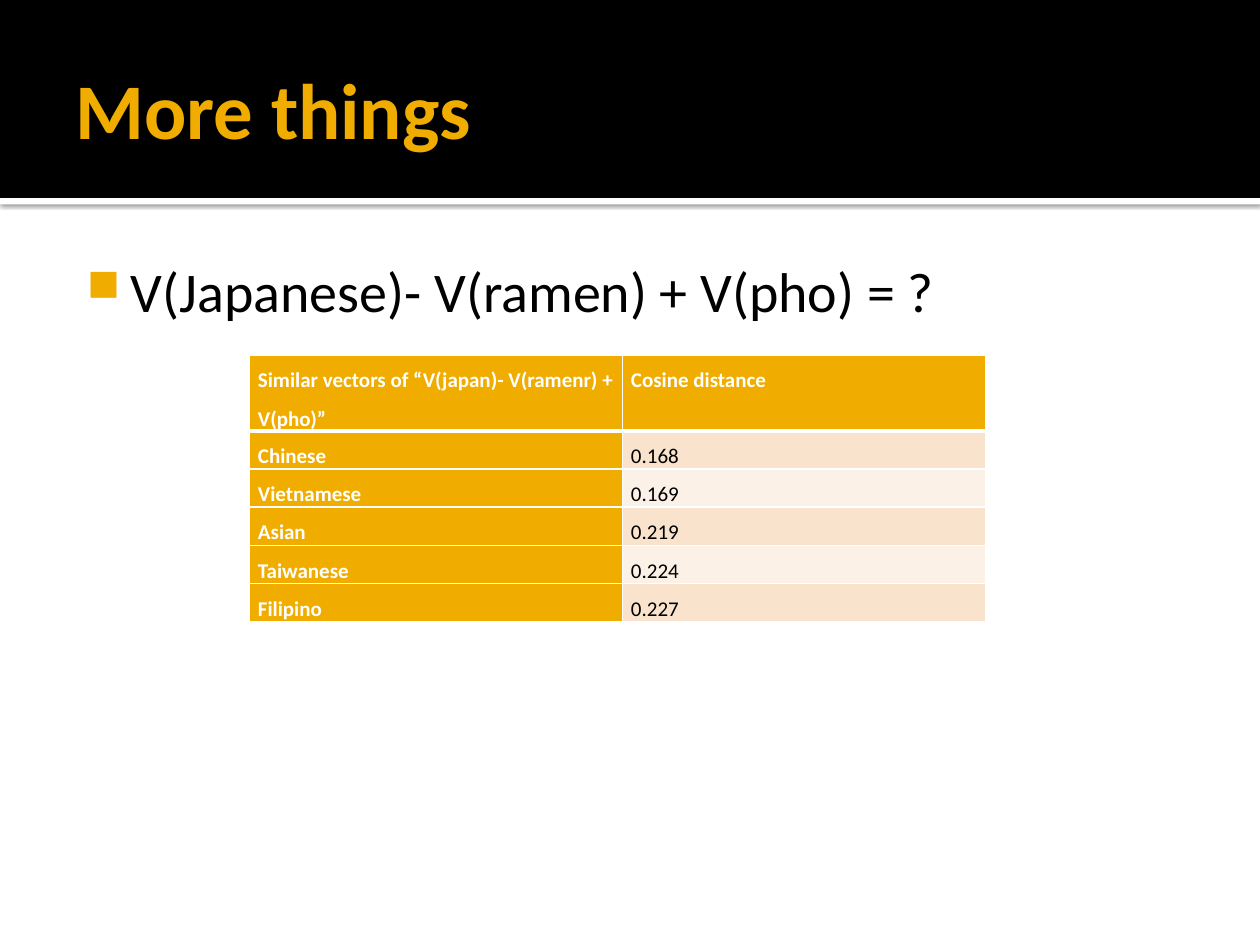
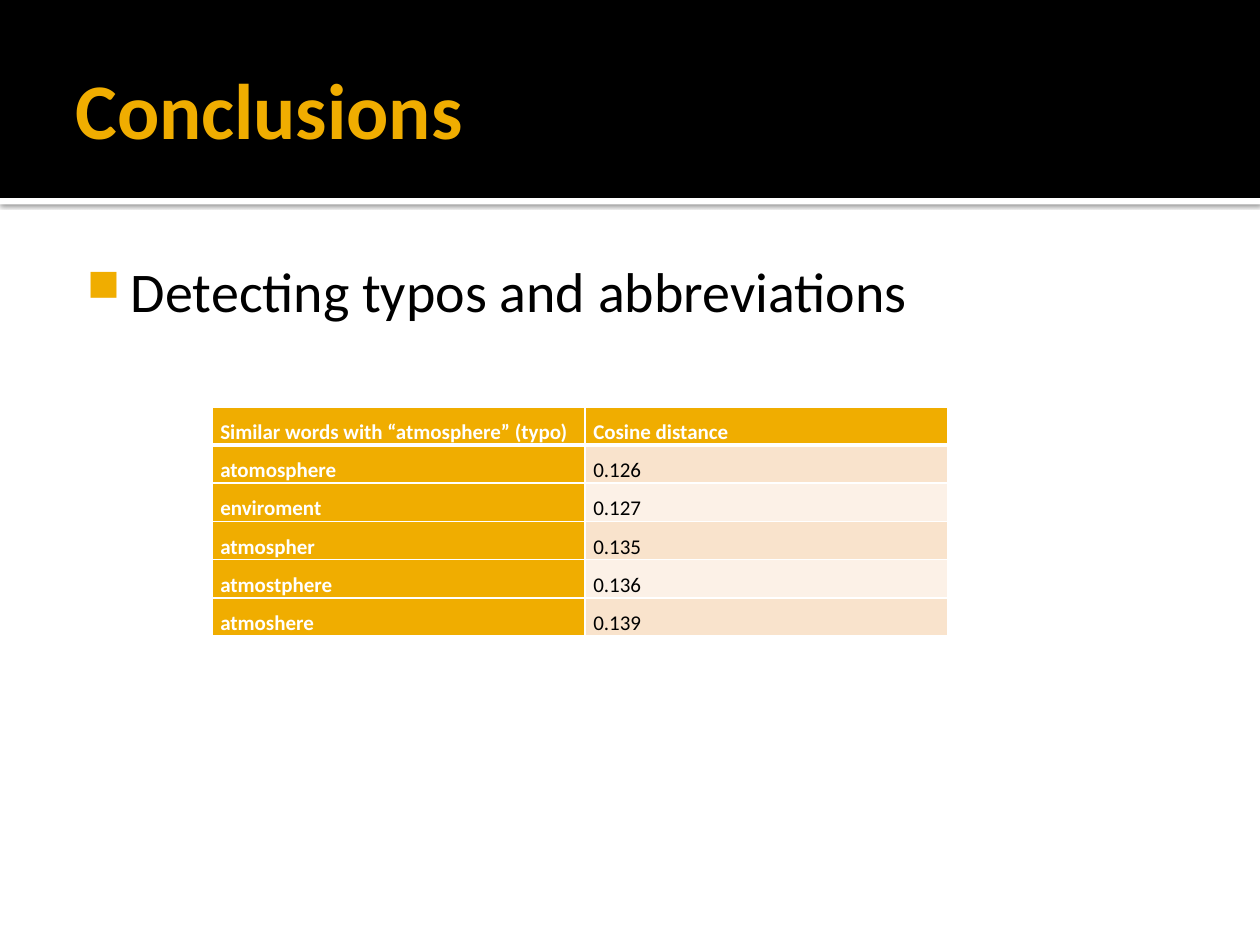
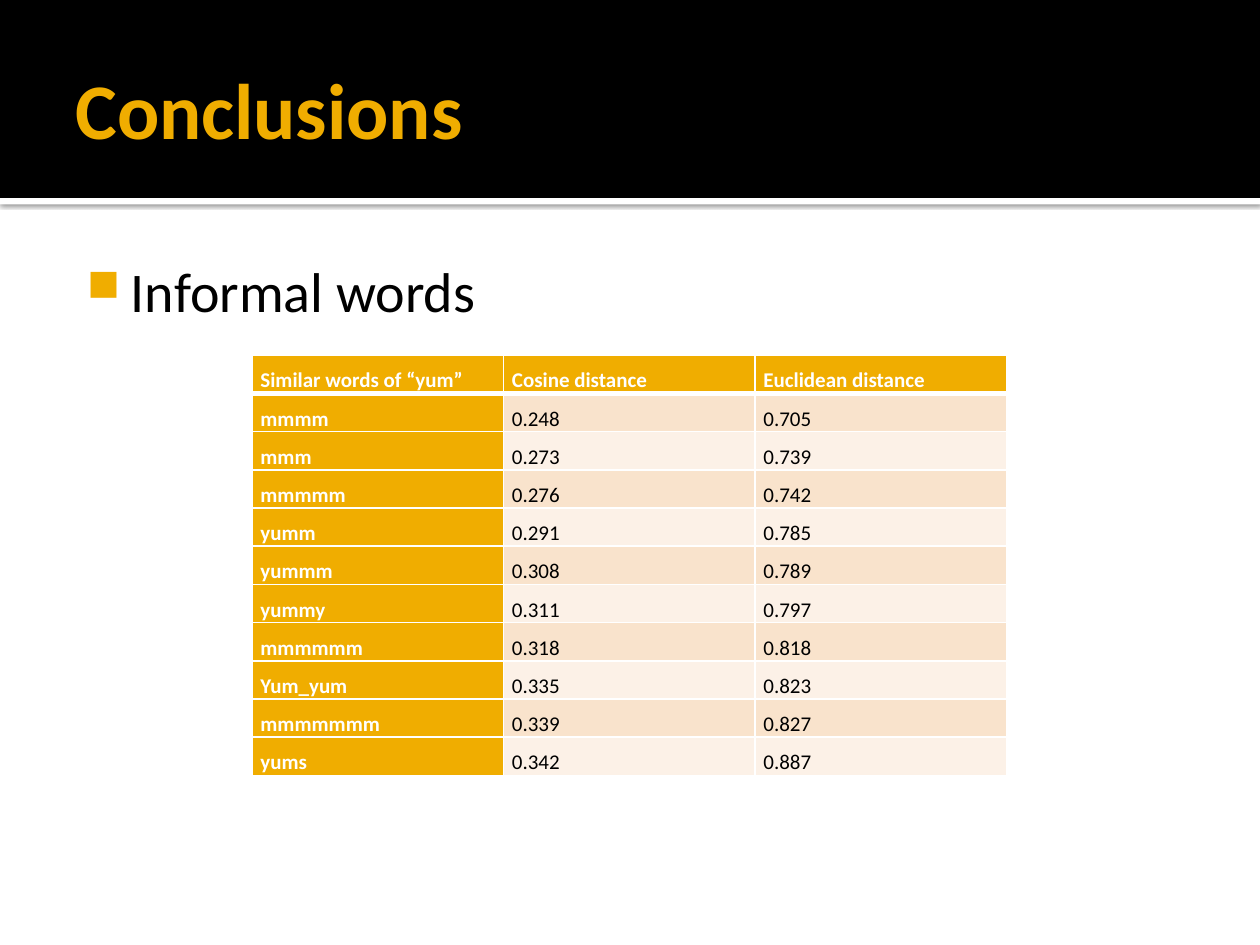
from lxml import etree
from pptx import Presentation
from pptx import util as u
from pptx.dml.color import RGBColor
from pptx.enum import shapes, text
from pptx.oxml.ns import qn

AMBER = RGBColor(0xF0, 0xAD, 0x00)
BLACK = RGBColor(0x00, 0x00, 0x00)
WHITE = RGBColor(0xFF, 0xFF, 0xFF)
PEACH = RGBColor(0xF9, 0xE3, 0xCC)
CREAM = RGBColor(0xFC, 0xF1, 0xE7)

FONT = "Calibri"
SLIDE_W, SLIDE_H = 25.4, 19.05
BAND_H, STRIP_H = 3.99, 0.13
TITLE_BOX = (1.27, 0.43, 22.86, 3.48)
BODY_BOX = (1.27, 4.93, 22.86, 12.85)
ROW_H = 0.77


def cm(*lengths):
    return [u.Cm(length) for length in lengths]


def sub(parent, tag, **attributes):
    return etree.SubElement(parent, qn(tag), attributes)


def style(paragraph, size, color, bold=False):
    font = paragraph.font
    font.name, font.size, font.bold = FONT, u.Pt(size), bold
    font.color.rgb = color


def add_bar(slide, box, color):
    bar = slide.shapes.add_shape(shapes.MSO_SHAPE.RECTANGLE, *cm(*box))
    bar.shadow.inherit = False
    bar.fill.solid()
    bar.fill.fore_color.rgb = color
    bar.line.fill.background()
    return bar


def add_header_band(slide):
    # White strip with a soft shadow, below the black band
    strip = add_bar(slide, (0, BAND_H, SLIDE_W, STRIP_H), WHITE)
    effects = strip._element.spPr.find(qn("a:effectLst"))
    shadow = sub(effects, "a:outerShdw", blurRad=str(u.Pt(2.5)), dist=str(u.Pt(0.8)),
                 dir="5400000", algn="tl", rotWithShape="0")
    sub(sub(shadow, "a:srgbClr", val=str(BLACK)), "a:alpha", val="60000")
    add_bar(slide, (0, 0, SLIDE_W, BAND_H), BLACK)


def add_text(slide, box, insets, words, anchor):
    frame = slide.shapes.add_textbox(*cm(*box)).text_frame
    frame.word_wrap = True
    frame.vertical_anchor = anchor
    (frame.margin_left, frame.margin_top,
     frame.margin_right, frame.margin_bottom) = cm(*insets)
    paragraph = frame.paragraphs[0]
    paragraph.text = words
    return paragraph


def add_title(slide, box, words):
    title = add_text(slide, box, (0.25, 0.13, 0.13, 0.13), words, text.MSO_ANCHOR.MIDDLE)
    style(title, 45, AMBER, bold=True)


def add_bullet(slide, box, words):
    point = add_text(slide, box, (0.15, 0.25, 0.25, 0.13), words, text.MSO_ANCHOR.TOP)
    props = point._p.get_or_add_pPr()
    props.set("marL", str(u.Cm(1.22)))
    props.set("indent", str(u.Cm(-0.89)))
    sub(sub(props, "a:buClr"), "a:srgbClr", val=str(AMBER))
    sub(props, "a:buSzPct", val="80000")
    sub(props, "a:buChar", char="■")
    style(point, 32, BLACK)


def set_borders(cell, top, bottom):
    props = cell._tc.get_or_add_tcPr()
    for side, width in zip("LRTB", (1, 1, top, bottom)):
        line = sub(props, f"a:ln{side}", w=str(u.Pt(width)))
        sub(sub(line, "a:solidFill"), "a:srgbClr", val=str(WHITE))


def fill_cell(cell, words, row, column):
    is_heading = row == 0 or column == 0
    set_borders(cell, top=3 if row == 1 else 1, bottom=3 if row == 0 else 1)
    cell.fill.solid()
    cell.fill.fore_color.rgb = AMBER if is_heading else (PEACH if row % 2 else CREAM)
    cell.margin_left = cell.margin_right = u.Cm(0.17)
    cell.margin_top = cell.margin_bottom = 0
    cell.text = words
    paragraph = cell.text_frame.paragraphs[0]
    paragraph.line_spacing = 1.5
    style(paragraph, 12, WHITE if is_heading else BLACK, bold=is_heading)


def add_distances(slide, left, top, widths, rows):
    table = slide.shapes.add_table(
        len(rows), len(widths), *cm(left, top, sum(widths), ROW_H * len(rows))).table
    table.first_col = True
    for column, width in zip(table.columns, widths):
        column.width = u.Cm(width)
    for r, row in enumerate(rows):
        table.rows[r].height = u.Cm(ROW_H)
        for c, words in enumerate(row):
            fill_cell(table.cell(r, c), words, r, c)


def add_result_slide(deck, title, point, left, top, widths, rows):
    slide = deck.slides.add_slide(deck.slide_layouts[6])
    add_header_band(slide)
    add_title(slide, TITLE_BOX, title)
    add_bullet(slide, BODY_BOX, point)
    add_distances(slide, left, top, widths, rows)


TWO_COLUMNS = (7.52, 7.32)
THREE_COLUMNS = (5.07,) * 3

PHO = [
    ("Similar vectors of “V(japan)- V(ramenr) + V(pho)”", "Cosine distance"),
    ("Chinese", "0.168"),
    ("Vietnamese", "0.169"),
    ("Asian", "0.219"),
    ("Taiwanese", "0.224"),
    ("Filipino", "0.227"),
]
TYPOS = [
    ("Similar words with “atmosphere” (typo)", "Cosine distance"),
    ("atomosphere", "0.126"),
    ("enviroment", "0.127"),
    ("atmospher", "0.135"),
    ("atmostphere", "0.136"),
    ("atmoshere", "0.139"),
]
YUM = [
    ("Similar words of “yum”", "Cosine distance", "Euclidean distance"),
    ("mmmm", "0.248", "0.705"),
    ("mmm", "0.273", "0.739"),
    ("mmmmm", "0.276", "0.742"),
    ("yumm", "0.291", "0.785"),
    ("yummm", "0.308", "0.789"),
    ("yummy", "0.311", "0.797"),
    ("mmmmmm", "0.318", "0.818"),
    ("Yum_yum", "0.335", "0.823"),
    ("mmmmmmm", "0.339", "0.827"),
    ("yums", "0.342", "0.887"),
]


def main():
    deck = Presentation()
    deck.slide_width, deck.slide_height = cm(SLIDE_W, SLIDE_H)
    add_result_slide(deck, "More things", "V(Japanese)- V(ramen) + V(pho) = ?",
                     5.03, 7.16, TWO_COLUMNS, PHO)
    add_result_slide(deck, "Conclusions", "Detecting typos and abbreviations",
                     4.27, 8.2, TWO_COLUMNS, TYPOS)
    add_result_slide(deck, "Conclusions", "Informal words",
                     5.08, 7.16, THREE_COLUMNS, YUM)
    deck.save("out.pptx")


if __name__ == "__main__":
    main()
